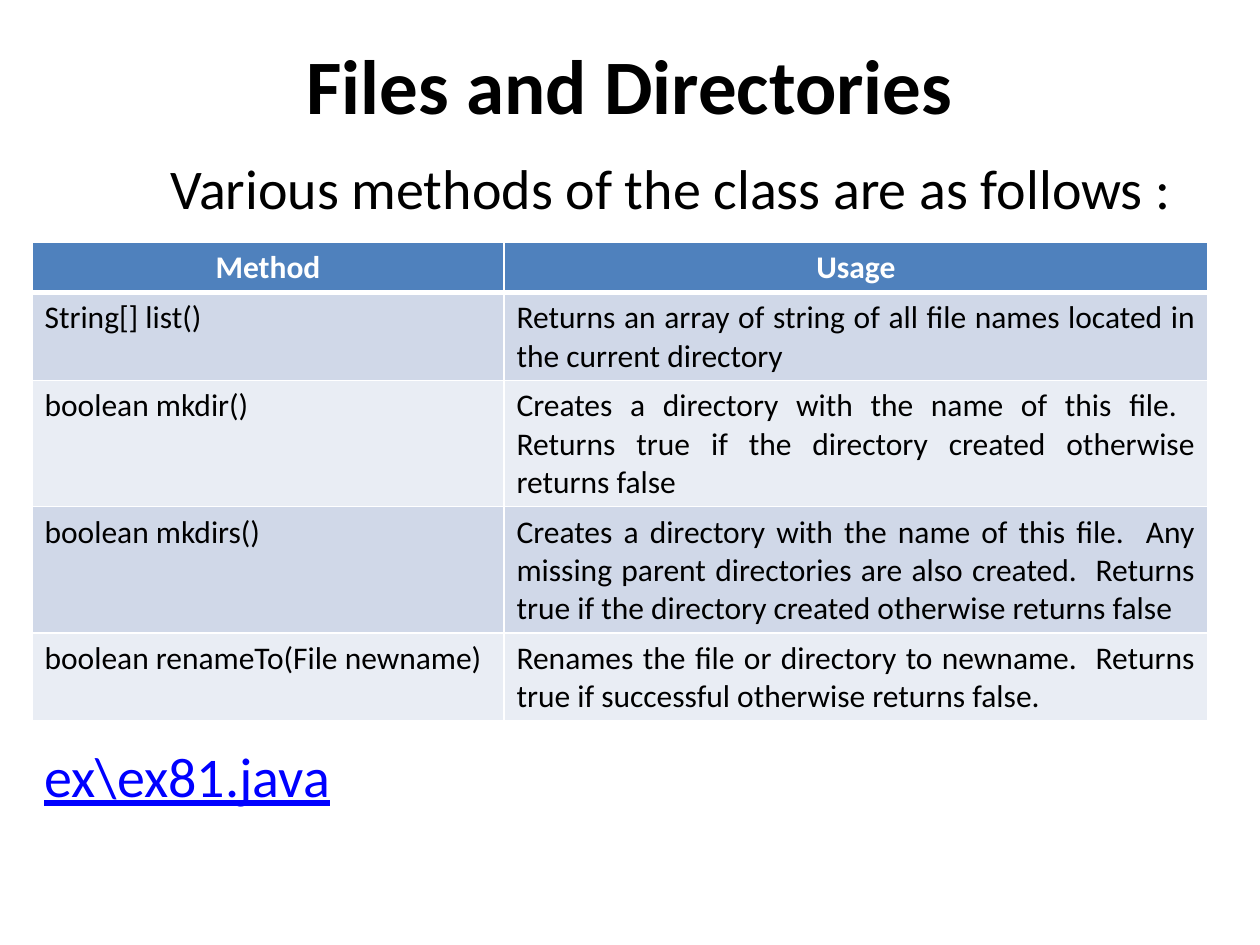
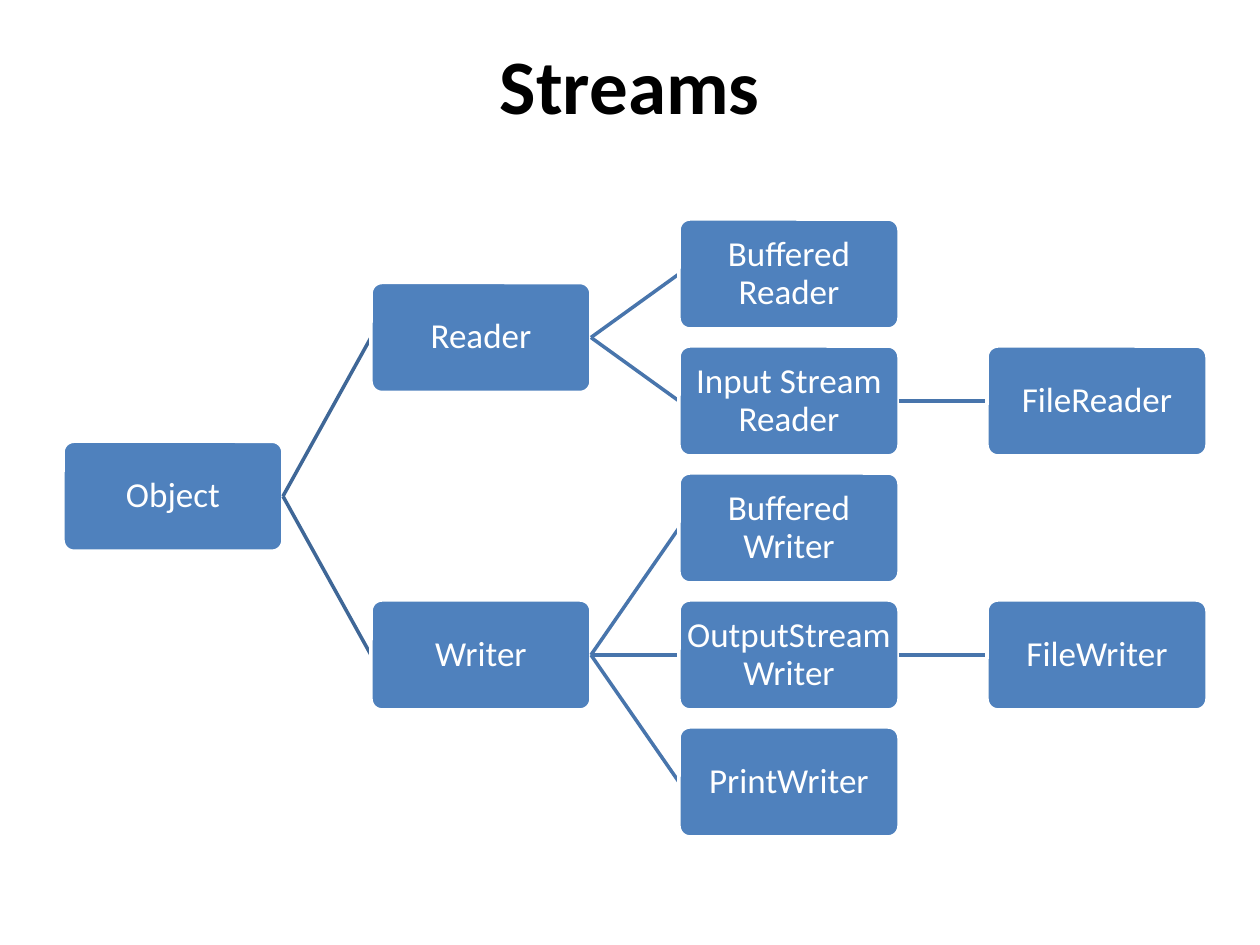
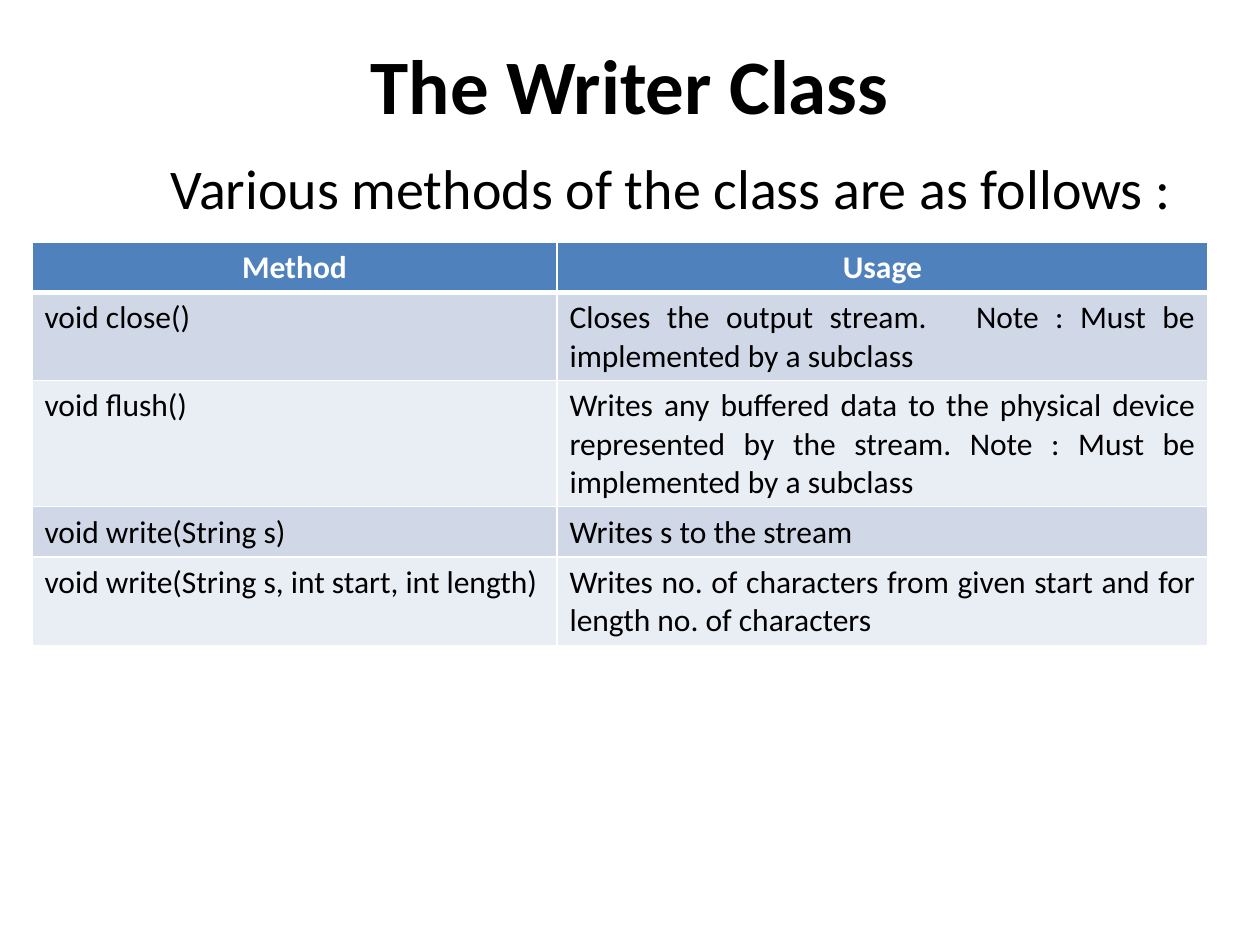
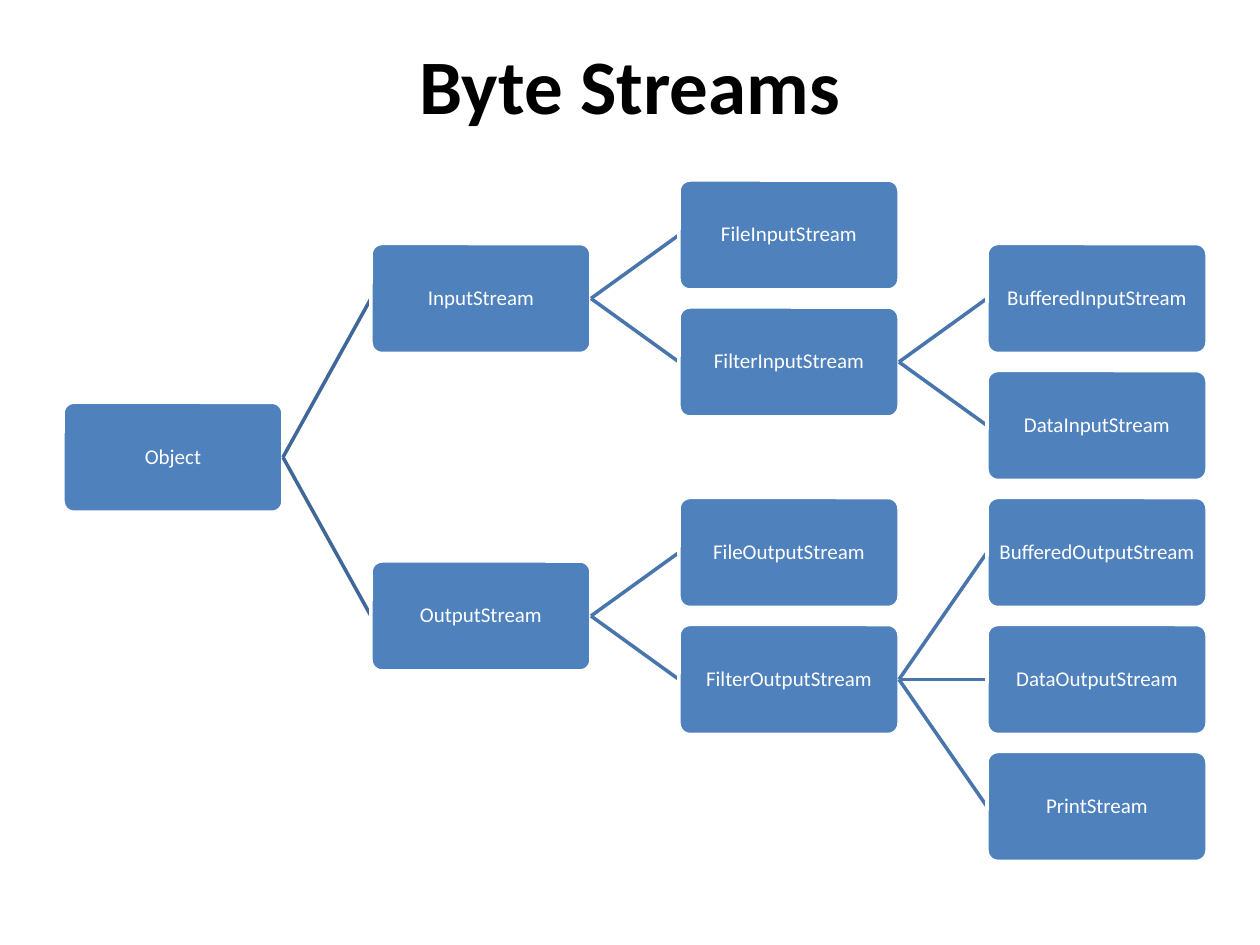
import lxml.etree
import pptx
import pptx.dml.color
import pptx.enum.shapes
import pptx.enum.text
import pptx.oxml.ns
import pptx.util

RGB = pptx.dml.color.RGBColor
ALIGN = pptx.enum.text.PP_ALIGN
MIDDLE = pptx.enum.text.MSO_ANCHOR.MIDDLE
GROW = pptx.enum.text.MSO_AUTO_SIZE.SHAPE_TO_FIT_TEXT
SHAPE = pptx.enum.shapes.MSO_SHAPE
LINE = pptx.enum.shapes.MSO_CONNECTOR

# Colours
BLACK = RGB(0x00, 0x00, 0x00)
WHITE = RGB(0xFF, 0xFF, 0xFF)
BLUE = RGB(0x4F, 0x81, 0xBD)
DARK = RGB(0x3F, 0x67, 0x97)
MID = RGB(0x48, 0x75, 0xAC)
LINK = RGB(0x00, 0x00, 0xFF)
BANDS = RGB(0xD0, 0xD8, 0xE8), RGB(0xE9, 0xED, 0xF4)

# Lengths in px, 126 to the inch
SCALE = 914400 / 126
WIDE, HIGH = 1260, 945
EDGE = 32
BOX_W, BOX_H = 220, 110
COL_STEP, ROW_STEP = 308, 127
TREE_X = 63
ROW_H = 44


def px(num):
    return pptx.util.Emu(round(num * SCALE))


def put(item, vals):
    for key, val in vals.items():
        setattr(item, key, val)


def row_of(node):
    """A leaf names its row; a parent sits midway between its outer children."""
    below = node[1]
    if isinstance(below, list):
        return (row_of(below[0]) + row_of(below[-1])) / 2
    return below


class Deck:
    font = "Calibri"

    def __init__(self):
        self.show = pptx.Presentation()
        put(self.show, {"slide_width": px(WIDE), "slide_height": px(HIGH)})
        self.slide = None

    def page(self, title):
        self.slide = self.show.slides.add_slide(self.show.slide_layouts[6])
        self.text((0, 21, WIDE, 126), title, 44, {"alignment": ALIGN.CENTER},
                  {"bold": True}, {"vertical_anchor": MIDDLE})

    def label(self, frame, words, size, color, para=None, face=None):
        part = frame.paragraphs[0]
        put(part, para or {})
        run = part.add_run()
        run.text = words
        put(run.font, {"name": self.font, "size": pptx.util.Pt(size), **(face or {})})
        run.font.color.rgb = color
        return part

    def text(self, area, words, size, para, face=None, form=None, color=BLACK):
        frame = self.slide.shapes.add_textbox(*map(px, area)).text_frame
        put(frame, {"word_wrap": True, **(form or {})})
        return self.label(frame, words, size, color, para, face)

    def body(self, top, words, color=BLACK, indent=0, face=None):
        part = self.text((EDGE, top, 1207, 81), words, 32, {"alignment": ALIGN.JUSTIFY},
                         face, {"auto_size": GROW}, color)
        if indent:
            part._p.get_or_add_pPr().set("indent", str(px(indent)))

    # Tables
    def border(self, cell, base):
        props = cell._tc.get_or_add_tcPr()
        for side in "LRTB":
            width = pptx.util.Pt(base if side == "B" else 1)
            line = lxml.etree.SubElement(props, pptx.oxml.ns.qn("a:ln" + side), w=str(width))
            fill = lxml.etree.SubElement(line, pptx.oxml.ns.qn("a:solidFill"))
            lxml.etree.SubElement(fill, pptx.oxml.ns.qn("a:srgbClr"), val=str(WHITE))

    def cell(self, cell, words, row, col):
        head = row == 0
        side = ALIGN.CENTER if head else (ALIGN.LEFT, ALIGN.JUSTIFY)[col]
        self.border(cell, 3 if head else 1)
        cell.fill.solid()
        cell.fill.fore_color.rgb = BLUE if head else BANDS[(row - 1) % 2]
        self.label(cell.text_frame, words, 18, WHITE if head else BLACK,
                   {"alignment": side}, {"bold": head})

    def table(self, cols, high, rows):
        rows = [("Method", "Usage"), *rows]
        shape = self.slide.shapes.add_table(
            len(rows), len(cols), *map(px, (EDGE, 242, sum(cols), high)))
        grid = shape.table
        for col, wide in zip(grid.columns, cols):
            col.width = px(wide)
        for num, pair in enumerate(rows):
            grid.rows[num].height = px(ROW_H)
            for col, words in enumerate(pair):
                self.cell(grid.cell(num, col), words, num, col)
        shape.height = px(high)

    # Trees
    def box(self, left, top, words, size):
        shape = self.slide.shapes.add_shape(
            SHAPE.ROUNDED_RECTANGLE, *map(px, (left, top, BOX_W, BOX_H)))
        shape.adjustments[0] = 0.1
        shape.shadow.inherit = False
        shape.fill.solid()
        shape.fill.fore_color.rgb = BLUE
        shape.line.color.rgb = WHITE
        shape.line.width = pptx.util.Pt(2)
        edges = {"margin_" + side: px(1) for side in ("left", "top", "right", "bottom")}
        put(shape.text_frame, {"word_wrap": True, "vertical_anchor": MIDDLE, **edges})
        self.label(shape.text_frame, words, size, WHITE,
                   {"alignment": ALIGN.CENTER, "line_spacing": 0.9})
        return shape

    def link(self, start, end, color):
        line = self.slide.shapes.add_connector(LINE.STRAIGHT, *map(px, start + end))
        line.line.color.rgb = color
        line.line.width = pptx.util.Pt(2)
        lxml.etree.SubElement(line._element.spPr, pptx.oxml.ns.qn("a:effectLst"))
        return line

    def tree(self, node, top, size, level=0):
        left = TREE_X + level * COL_STEP
        high = top + row_of(node) * ROW_STEP
        shape = self.box(left, high, node[0], size)
        for kid in node[1] if isinstance(node[1], list) else []:
            end = top + row_of(kid) * ROW_STEP
            # The line goes in first, so the child's white rim covers its end
            line = self.link((left + BOX_W, high + BOX_H / 2),
                             (left + COL_STEP, end + BOX_H / 2), MID if level else DARK)
            line.begin_connect(shape, 3)
            line.end_connect(self.tree(kid, top, size, level + 1), 1)
        return shape


FILES = [
    ("String[] list()",
     "Returns an array of string of all file names located in the current directory"),
    ("boolean mkdir()",
     "Creates a directory with the name of this file.  Returns true if the directory "
     "created otherwise returns false"),
    ("boolean mkdirs()",
     "Creates a directory with the name of this file.  Any missing parent directories are "
     "also created.  Returns true if the directory created otherwise returns false"),
    ("boolean renameTo(File newname)",
     "Renames the file or directory to newname.  Returns true if successful otherwise "
     "returns false."),
]
WRITER = [
    ("void close()", "Closes the output stream.   Note : Must be implemented by a subclass"),
    ("void flush()",
     "Writes any buffered data to the physical device represented by the stream. "
     "Note : Must be implemented by a subclass"),
    ("void write(String s)", "Writes s to the stream"),
    ("void write(String s, int start, int length)",
     "Writes no. of characters from given start and for length no. of characters"),
]
CHARS = ("Object", [
    ("Reader", [
        ("Buffered Reader", 0),
        ("Input Stream Reader", [("FileReader", 1)])]),
    ("Writer", [
        ("Buffered Writer", 2),
        ("OutputStream Writer", [("FileWriter", 3)]),
        ("PrintWriter", 4)]),
])
BYTES = ("Object", [
    ("InputStream", [
        ("FileInputStream", 0),
        ("FilterInputStream", [("BufferedInputStream", 0.5), ("DataInputStream", 1.5)])]),
    ("OutputStream", [
        ("FileOutputStream", 2.5),
        ("FilterOutputStream", [
            ("BufferedOutputStream", 2.5), ("DataOutputStream", 3.5), ("PrintStream", 4.5)])]),
])
INTRO = "Various methods of the class are as follows :"


def main():
    deck = Deck()

    # Files and directories
    deck.page("Files and Directories")
    deck.table((472, 704), 479, FILES)
    deck.body(147, INTRO, indent=126)
    deck.body(735, "ex\\ex81.java", LINK, face={"underline": True})

    # Character streams
    deck.page("Streams")
    deck.tree(CHARS, 219, 20)

    # Writer class
    deck.page("The Writer Class")
    deck.table((525, 651), 403, WRITER)
    deck.body(147, INTRO, indent=126)

    # Byte streams
    deck.page("Byte Streams")
    deck.tree(BYTES, 180, 12)

    deck.show.save("out.pptx")


if __name__ == "__main__":
    main()
